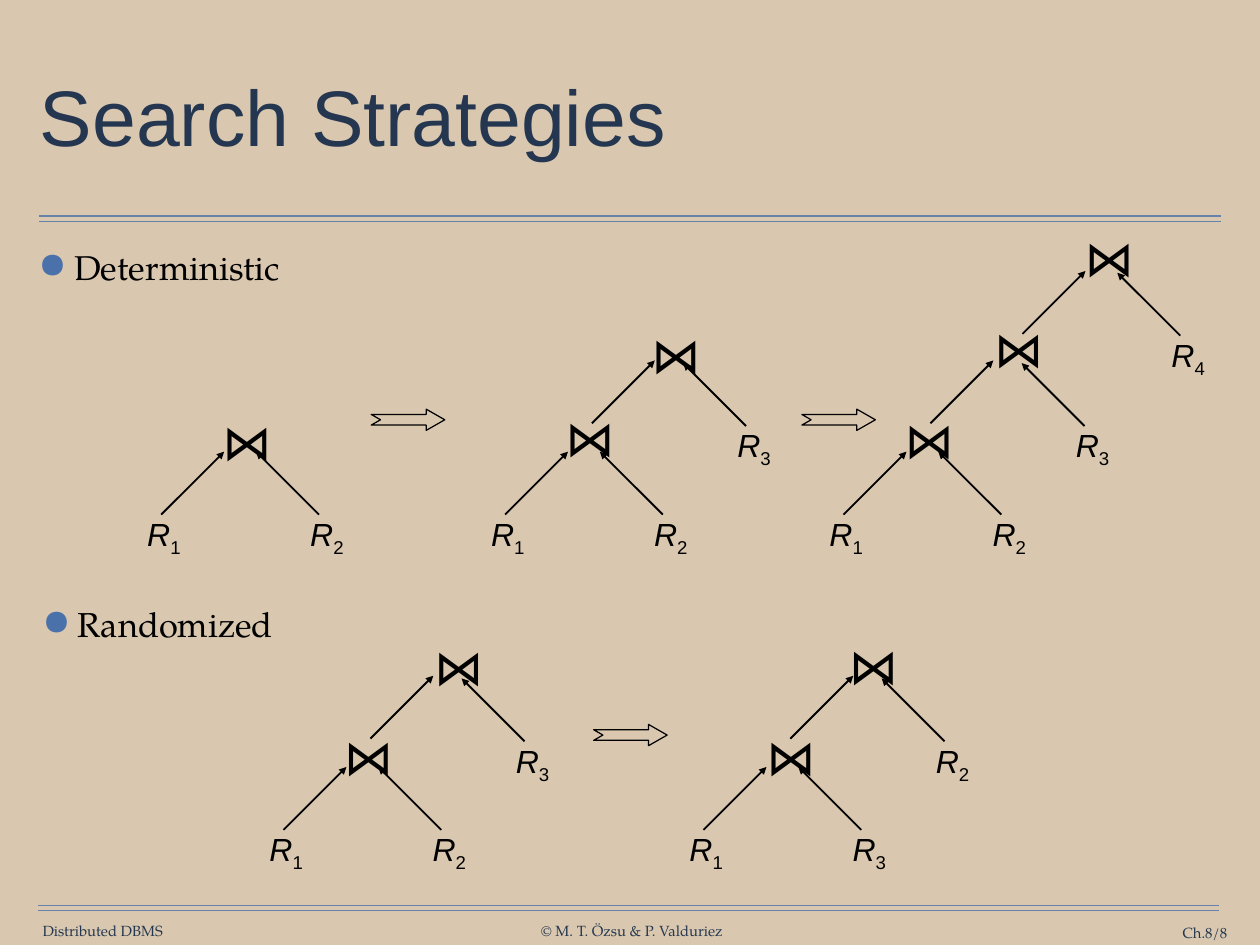
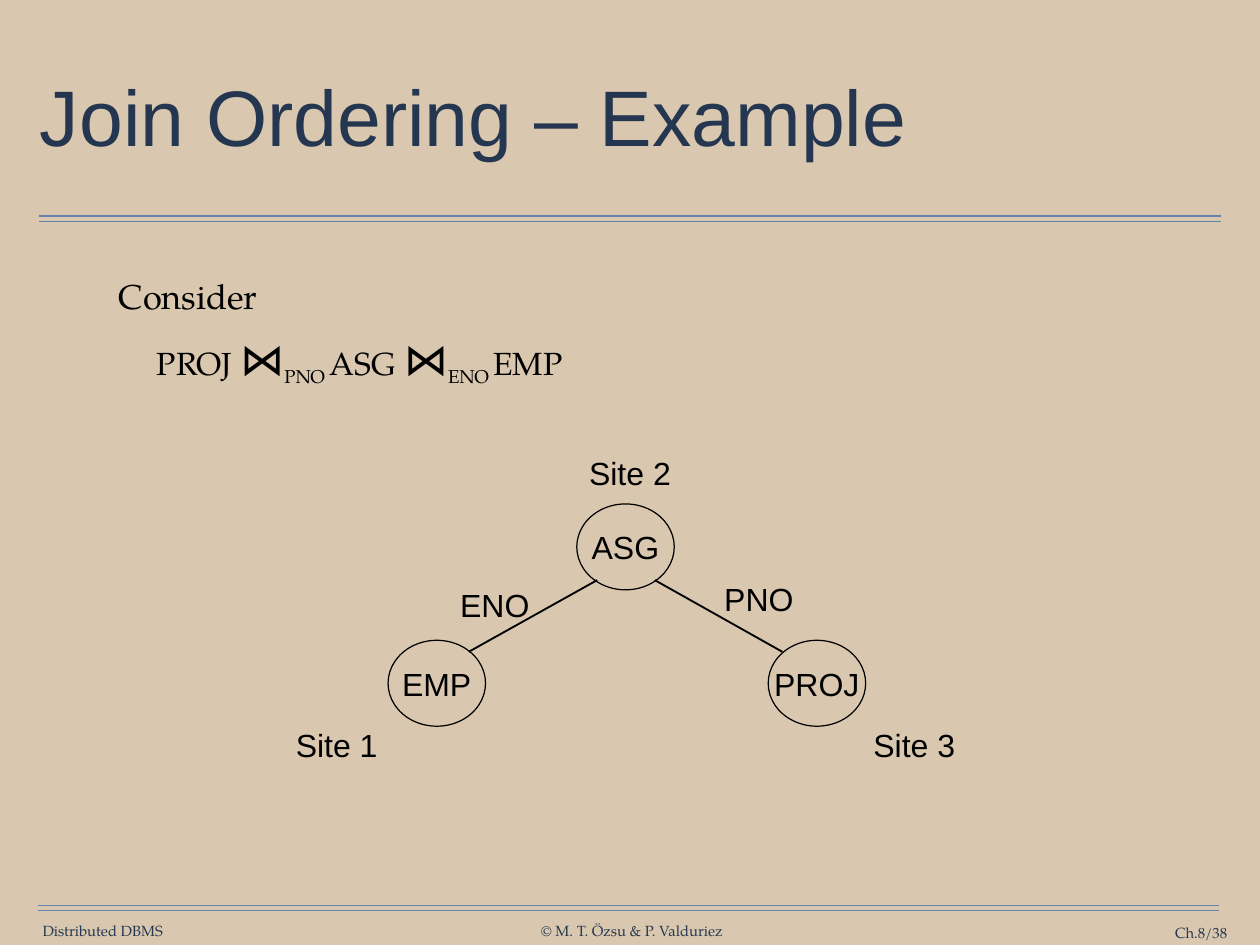
import pptx
import pptx.util
import pptx.dml.color
import pptx.enum.shapes
import pptx.enum.text
import pptx.oxml
import pptx.oxml.ns

RGB = pptx.dml.color.RGBColor
SAND = RGB(0xD9, 0xC8, 0xAF)
NAVY = RGB(0x25, 0x37, 0x50)
STEEL = RGB(0x66, 0x82, 0xAA)
BLACK = RGB(0, 0, 0)
BULLET = "4A71A9"

SERIF = "TeX Gyre Pagella"
SANS = "Arial"
SYMBOL = "Noto Sans CJK JP"
JOIN = "⋈"

SCALE = 9144  # EMU in one px, 100 px to the inch
ALIGN = pptx.enum.text.PP_ALIGN
ANCHOR = pptx.enum.text.MSO_ANCHOR
FIT = pptx.enum.text.MSO_AUTO_SIZE
SHAPE = pptx.enum.shapes.MSO_SHAPE

# Start of the left arrow and of the right arrow at each height of a join tree
LEVELS = [((35, 7), (213, 7)), ((133, -96), (307, -93)), ((237, -197), (415, -195))]
RISE = 71


def px(*nums):
    return [pptx.util.Emu(num * SCALE) for num in nums]


def style(run, size, font=SANS, color=BLACK):
    run.font.size = pptx.util.Pt(size)
    run.font.name = font
    run.font.color.rgb = color
    if font == SYMBOL:
        props = run.font._element
        props.append(props.makeelement(pptx.oxml.ns.qn("a:ea"), {"typeface": font}))


def lower(run):
    run.font._element.set("baseline", "-25000")


def add_run(para, text, size, font=SANS):
    run = para.add_run()
    run.text = text
    style(run, size, font)
    return run


def frame(shape, pad, wrap, anchor=ANCHOR.TOP, fit=FIT.NONE):
    """Set the insets and flow of a shape's text."""
    text = shape.text_frame
    text.margin_left = text.margin_right = px(pad)[0]
    text.margin_top = text.margin_bottom = px(pad)[0]
    text.word_wrap = wrap
    text.vertical_anchor = anchor
    text.auto_size = fit
    return text


def label(slide, box, text, size=26, font=SANS, pad=7, color=BLACK,
          align=ALIGN.CENTER, anchor=ANCHOR.TOP):
    shape = slide.shapes.add_textbox(*px(*box))
    wrap = align == ALIGN.RIGHT
    para = frame(shape, pad, wrap, anchor, FIT.SHAPE_TO_FIT_TEXT).paragraphs[0]
    para.text = text
    para.alignment = align
    style(para.runs[0], size, font, color)
    return para


def line(slide, start, end, color=BLACK, width=1.5, arrow=False):
    kind = pptx.enum.shapes.MSO_CONNECTOR.STRAIGHT
    link = slide.shapes.add_connector(kind, *px(*start, *end))
    link.line.color.rgb = color
    link.line.width = pptx.util.Pt(width)
    if arrow:
        stroke = link.line._get_or_add_ln()
        stroke.append(stroke.makeelement(pptx.oxml.ns.qn("a:tailEnd"), {"type": "triangle"}))
    props = link._element.spPr
    props.append(props.makeelement(pptx.oxml.ns.qn("a:effectLst"), {}))


def outline(slide, kind, box):
    shape = slide.shapes.add_shape(kind, *px(*box))
    shape.shadow.inherit = False
    shape.fill.background()
    shape.line.color.rgb = BLACK
    shape.line.width = pptx.util.Pt(1)
    return shape


def base(deck, title, page):
    """Add a slide with its background, title, double rules and footer."""
    slide = deck.slides.add_slide(deck.slide_layouts[5])
    fill = slide.background.fill
    fill.solid()
    fill.fore_color.rgb = SAND
    for left, top, right in ((44, 244, 1378), (43, 1022, 1376)):
        for drop in (0, 6):
            line(slide, (left, top + drop), (right, top + drop), STEEL, 1)
    for box, text, align in (
        ((47, 1041, 138, 20), "Distributed DBMS", ALIGN.CENTER),
        ((609, 1041, 208, 20), "© M. T. Özsu & P. Valduriez", ALIGN.CENTER),
        ((1231, 1043, 154, 20), page, ALIGN.RIGHT),
    ):
        label(slide, box, text, 12, SERIF, 0, NAVY, align, ANCHOR.MIDDLE)
    head = slide.shapes.title
    head.left, head.top, head.width, head.height = px(39, 49, 1344, 176)
    para = frame(head, 6, True, ANCHOR.MIDDLE).paragraphs[0]
    para.text = title
    para.alignment = ALIGN.LEFT
    para.line_spacing = 0.9
    style(para.runs[0], 64, SANS, NAVY)
    return slide


def indent(para, left):
    """Give a paragraph a hanging indent and space before it."""
    para.space_before = pptx.util.Pt(12)
    props = para._p.get_or_add_pPr()
    props.set("marL", str(left * SCALE))
    props.set("indent", str(-40 * SCALE))
    return props


def bullet(slide, left, top, text):
    shape = slide.shapes.add_textbox(*px(left, top, 1344, 72))
    para = frame(shape, 6, True).paragraphs[0]
    para.text = text
    style(para.runs[0], 28, SERIF)
    props = indent(para, 40)
    space = pptx.oxml.ns.nsdecls("a")
    for mark in (
        f'<a:buClr {space}><a:srgbClr val="{BULLET}"/></a:buClr>',
        f'<a:buSzPct {space} val="150000"/>',
        f'<a:buFont {space} typeface="{SERIF}"/>',
        f'<a:buChar {space} char="•"/>',
    ):
        props.append(pptx.oxml.parse_xml(mark))


def leaf(slide, left, top, index):
    para = label(slide, (left, top, 76, 58), "R")
    para.runs[0].font.italic = True
    lower(add_run(para, index, 26))


def tree(slide, left, top, leaves, joins):
    """Draw a left-deep join tree whose first leaf is at left, top."""
    leaf(slide, left, top, leaves[0])
    for index, (west, east), (x, y) in zip(leaves[1:], LEVELS, joins):
        for (dx, dy), run in ((west, RISE), (east, -RISE)):
            start = left + dx, top + dy
            line(slide, start, (start[0] + run, start[1] - RISE), arrow=True)
        leaf(slide, left + east[0] - 29, top + east[1] - 7, index)
        label(slide, (left + x, top + y, 48, 77), JOIN, 40, SYMBOL, 5)


def step(slide, left, top):
    shape = outline(slide, SHAPE.NOTCHED_RIGHT_ARROW, (left, top, 83, 24))
    shape.adjustments[0] = 0.5
    shape.adjustments[1] = 0.875


def search(deck):
    slide = base(deck, "Search Strategies", "Ch.8/8")
    bullet(slide, 38, 272, "Deterministic")
    tree(slide, 147, 574, "12", [(99, -114)])
    tree(slide, 535, 574, "123", [(98, -119), (195, -213)])
    tree(slide, 917, 574, "1234", [(99, -117), (200, -220), (302, -322)])
    bullet(slide, 42, 675, "Randomized")
    tree(slide, 285, 930, "123", [(98, -115), (200, -216)])
    tree(slide, 759, 930, "132", [(101, -115), (194, -217)])
    for left, top in ((419, 462), (905, 462), (670, 818)):
        step(slide, left, top)


def query(slide, box):
    text = frame(slide.shapes.add_textbox(*px(*box)), 6, True)
    intro = text.paragraphs[0]
    intro.text = "Consider"
    style(intro.runs[0], 28, SERIF)
    indent(intro, 40)
    para = text.add_paragraph()
    indent(para, 83)
    add_run(para, "PROJ ", 26, SERIF)
    for key, name in (("PNO ", "ASG "), ("ENO ", "EMP")):
        add_run(para, JOIN, 36, SYMBOL)
        lower(add_run(para, key, 26, SERIF))
        add_run(para, name, 26, SERIF)


def graph(slide, left, top):
    """Draw the join graph, with the box around its circles at left, top."""
    for x, y, name in ((213, 0, "ASG"), (0, 154, "EMP"), (429, 154, "PROJ")):
        node = outline(slide, SHAPE.OVAL, (left + x, top + y, 110, 97))
        para = frame(node, 0, False, ANCHOR.MIDDLE).paragraphs[0]
        para.text = name
        para.alignment = ALIGN.CENTER
        style(para.runs[0], 26)
    for start, end in (((91, 167), (236, 86)), ((445, 167), (301, 86))):
        line(slide, (left + start[0], top + start[1]), (left + end[0], top + end[1]))
    for x, y, text in ((212, -64, "Site 2"), (-119, 243, "Site 1"), (533, 243, "Site 3")):
        label(slide, (left + x, top + y, 122, 58), text)
    for x, y, text in ((71, 87, "ENO"), (369, 81, "PNO")):
        label(slide, (left + x, top + y, 99, 54), text, pad=5)


def order(deck):
    slide = base(deck, "Join Ordering – Example", "Ch.8/38")
    query(slide, (128, 305, 908, 179))
    graph(slide, 438, 569)


def main():
    deck = pptx.Presentation()
    deck.slide_width, deck.slide_height = px(1422, 1067)
    search(deck)
    order(deck)
    deck.save("out.pptx")


if __name__ == "__main__":
    main()
